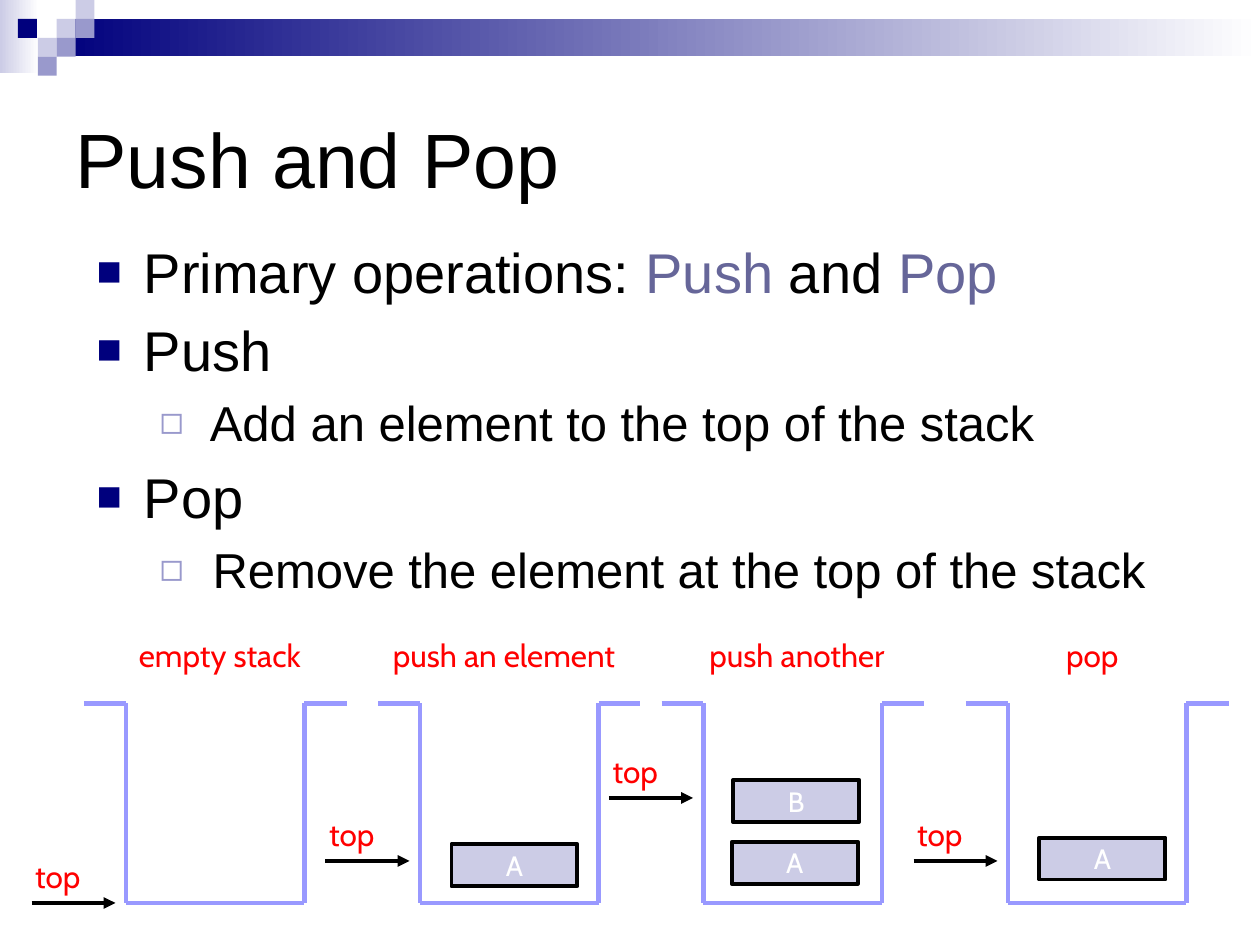
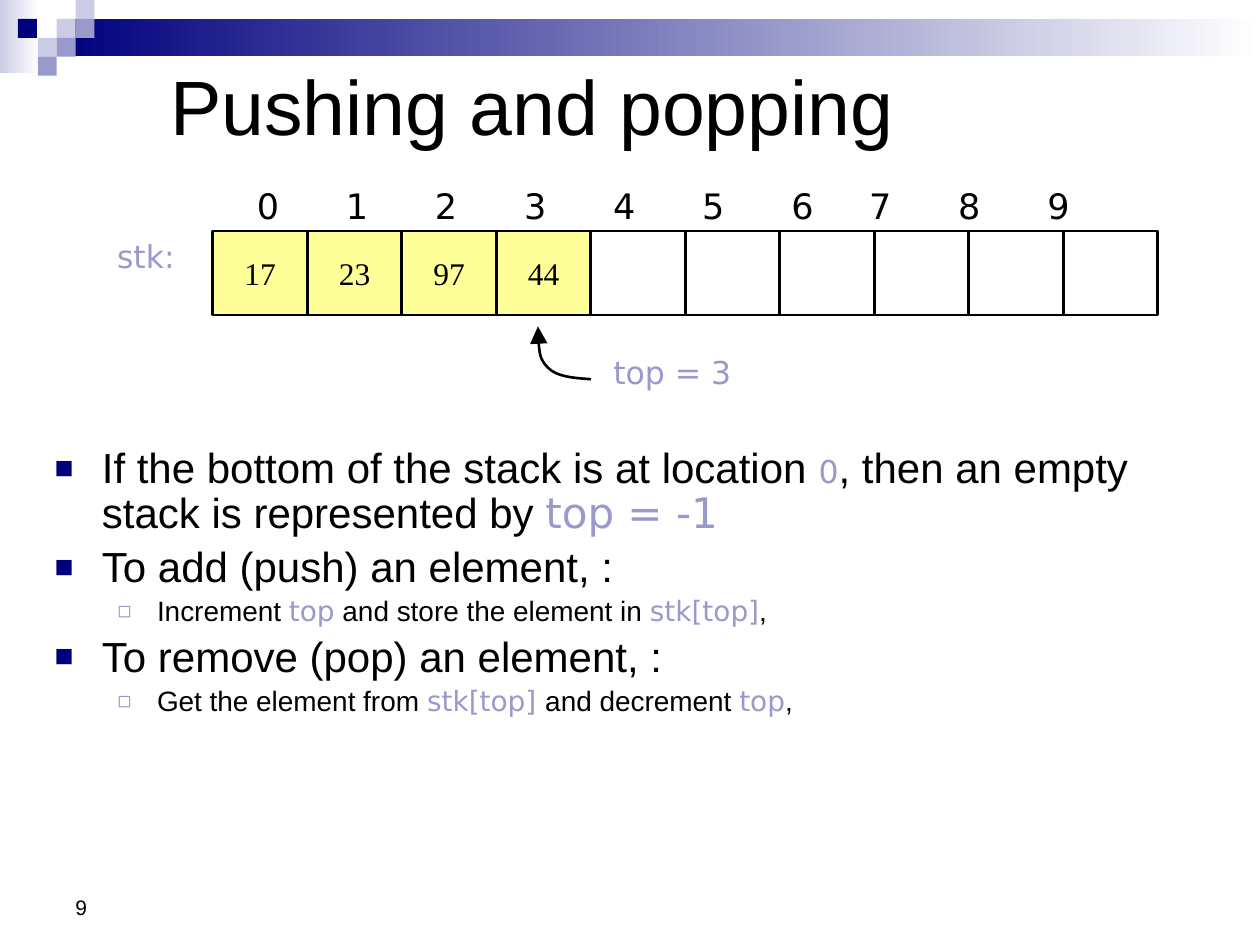
from itertools import pairwise

from lxml import etree
from pptx import Presentation
from pptx.dml.color import RGBColor
from pptx.enum.shapes import MSO_CONNECTOR, MSO_SHAPE
from pptx.enum.text import MSO_ANCHOR, MSO_AUTO_SIZE, PP_ALIGN
from pptx.oxml.ns import qn
from pptx.util import Pt

RECTANGLE, STRAIGHT = MSO_SHAPE.RECTANGLE, MSO_CONNECTOR.STRAIGHT
MIDDLE, BOTTOM = MSO_ANCHOR.MIDDLE, MSO_ANCHOR.BOTTOM
LEFT, CENTER = PP_ALIGN.LEFT, PP_ALIGN.CENTER
FIXED_SIZE = MSO_AUTO_SIZE.NONE

BLACK = RGBColor(0x00, 0x00, 0x00)
WHITE = RGBColor(0xFF, 0xFF, 0xFF)
NAVY = RGBColor(0x00, 0x00, 0x7D)
LAVENDER = RGBColor(0x99, 0x99, 0xCC)
PALE = RGBColor(0xCC, 0xCC, 0xE6)
SLATE = RGBColor(0x66, 0x66, 0x99)
PERIWINKLE = RGBColor(0x99, 0x99, 0xFF)
RED = RGBColor(0xFF, 0x00, 0x00)
YELLOW = RGBColor(0xFF, 0xFF, 0x99)

PLAIN = {}
KEYWORD = {"color": SLATE}
CODE = {"name": "DejaVu Sans", "color": LAVENDER}
CODE_LABEL = CODE | {"size": Pt(18)}
CAPTION = {"name": "Cabin", "size": Pt(18), "color": RED}
ELEMENT = {"name": "Cabin", "size": Pt(16), "color": WHITE}
VALUE = {"name": "Times New Roman", "size": Pt(18), "color": BLACK}
INDEX = {"name": "DejaVu Sans", "size": Pt(20), "color": BLACK}
NUMBER = {"name": "Arial", "size": Pt(12), "color": BLACK}


def write(paragraph, text, style):
    run = paragraph.add_run()
    run.text = text
    for attribute, value in style.items():
        if attribute == "color":
            run.font.color.rgb = value
        else:
            setattr(run.font, attribute, value)


def add_box(slide, frame, fill=None, outline=None, text="", style=PLAIN):
    box = slide.shapes.add_shape(RECTANGLE, *map(Pt, frame))
    box.shadow.inherit = False
    if fill is None:
        box.fill.background()
    else:
        box.fill.solid()
        box.fill.fore_color.rgb = fill
    if outline is None:
        box.line.fill.background()
    else:
        box.line.color.rgb = BLACK
        box.line.width = Pt(outline)
    if text:
        content = box.text_frame
        content.margin_top = content.margin_bottom = 0
        content.vertical_anchor = MIDDLE
        content.paragraphs[0].alignment = CENTER
        write(content.paragraphs[0], text, style)
    return box


prs = Presentation()
prs.slide_width, prs.slide_height = Pt(720), Pt(540)
master = prs.slide_master
push_pop = prs.slides.add_slide(prs.slide_layouts[1])
array_stack = prs.slides.add_slide(prs.slide_layouts[1])

# Master: title and list styles
for latin in master.element.find(qn("p:txStyles")).iter(qn("a:latin")):
    latin.set("typeface", "Arial")
master.element.find(".//" + qn("p:titleStyle")).find(qn("a:lvl1pPr")).set("algn", "l")
list_style = master.element.find(".//" + qn("p:bodyStyle"))
for level, char, color, percent in [(1, "■", NAVY, 75), (2, "◻", LAVENDER, 80)]:
    level_style = list_style.find(qn(f"a:lvl{level}pPr"))
    bullet_font = level_style.find(qn("a:buFont"))
    bullet_color = etree.Element(qn("a:buClr"))
    etree.SubElement(bullet_color, qn("a:srgbClr"), val=str(color))
    bullet_font.addprevious(bullet_color)
    bullet_font.addprevious(etree.Element(qn("a:buSzPct"), val=str(percent * 1000)))
    level_style.find(qn("a:buChar")).set("char", char)

# Master: gradient bands and a mosaic of small squares
TILE = 10.8
decoration = []
for frame, start_color in [
    ((0, 0, 22.3, 41.8), PALE),
    ((3 * TILE, TILE, 720 - 3 * TILE, 21.2), NAVY),
]:
    band = add_box(push_pop, frame)
    band.fill.gradient()
    band.fill.gradient_angle = 0
    for stop, color in zip(band.fill.gradient_stops, (start_color, WHITE)):
        stop.color.rgb = color
    decoration.append(band)
for column, row, color in [
    (3, 1, PALE), (4, 0, PALE), (4, 1, LAVENDER), (2, 2, PALE),
    (0.95, 1, NAVY), (3, 2, LAVENDER), (2, 3, LAVENDER),
]:
    decoration.append(add_box(push_pop, (column * TILE, row * TILE, TILE, TILE), color))
for number, part in enumerate(decoration):
    part.element.nvSpPr.cNvPr.set("id", str(20 + number))
    master.shapes.element.insert(2 + number, part.element)

# Titles and lists: (level, size, runs)
pages = [
    (push_pop, "Push and Pop", (36, 36, 648, 108), (48, 132, 618, 324), None, [
        (0, 32, [("Primary operations: ", PLAIN), ("Push", KEYWORD),
                 (" and ", PLAIN), ("Pop", KEYWORD)]),
        (0, 32, [("Push", PLAIN)]),
        (1, 28, [(" Add an element to the top of the stack", PLAIN)]),
        (0, 32, [("Pop", PLAIN)]),
        (1, 28, [(" Remove the element at the top of the stack", PLAIN)]),
    ]),
    (array_stack, "Pushing and popping", (90, 24, 588, 72), (24, 252, 678, 222), 0.9, [
        (0, 24, [("If the bottom of the stack is at location ", PLAIN),
                 ("0", CODE_LABEL),
                 (", then an empty stack is represented by ", PLAIN),
                 ("top = -1", CODE)]),
        (0, 24, [("To add (push) an element, :", PLAIN)]),
        (1, 16, [("Increment ", PLAIN), ("top", CODE),
                 (" and store the element in ", PLAIN), ("stk[top]", CODE), (",", PLAIN)]),
        (0, 24, [("To remove (pop) an element, :", PLAIN)]),
        (1, 16, [("Get the element from ", PLAIN), ("stk[top] ", CODE),
                 ("and decrement ", PLAIN), ("top", CODE), (",", PLAIN)]),
    ]),
]
for slide, heading, title_frame, list_frame, spacing, items in pages:
    title, points = slide.placeholders
    for holder, frame in [(title, title_frame), (points, list_frame)]:
        holder.left, holder.top, holder.width, holder.height = map(Pt, frame)
        holder.text_frame.auto_size = FIXED_SIZE
    title.text_frame.vertical_anchor = MIDDLE
    write(title.text_frame.paragraphs[0], heading, {"size": Pt(44), "color": BLACK})
    for position, (level, size, runs) in enumerate(items):
        content = points.text_frame
        paragraph = content.add_paragraph() if position else content.paragraphs[0]
        paragraph.level = level
        paragraph.line_spacing = spacing
        for text, style in runs:
            write(paragraph, text, {"size": Pt(size), "color": BLACK} | style)

# Slide 1: four stack states
LIP, WELL_WIDTH, RIM, FLOOR = 24, 102, 402, 516
text_boxes = []
arrows = []
states = [  # caption, caption centre, left wall, height of top, elements
    ("empty stack", 125.6, 72, 516, []),
    ("push an element", 288, 240, 492, [("A", 258, 482.4)]),
    ("push another", 455.4, 402, 456, [("A", 418.2, 481), ("B", 419, 445.7)]),
    ("pop", 624.2, 576, 492, [("A", 594, 478.6)]),
]
for caption, middle, wall, top, elements in states:
    right_wall = wall + WELL_WIDTH
    outline = [(wall - LIP, RIM), (wall, RIM), (wall, FLOOR),
               (right_wall, FLOOR), (right_wall, RIM), (right_wall + LIP, RIM)]
    strokes = [(start, end, PERIWINKLE, 2.5) for start, end in pairwise(outline)]
    strokes.append(((wall - 54, top), (wall - 6, top), BLACK, 2.25))
    for start, end, color, width in strokes:
        stroke = push_pop.shapes.add_connector(STRAIGHT, *map(Pt, start + end))
        stroke.line.color.rgb = color
        stroke.line.width = Pt(width)
        etree.SubElement(stroke.element.spPr, qn("a:effectLst"))
    arrows.append((stroke, "med"))
    for name, left, element_top in elements:
        add_box(push_pop, (left, element_top, 72, 24), PALE, 2.25, name, ELEMENT)
    text_boxes += [
        (push_pop, (middle - 75, 360, 150, 28.8), caption, CAPTION),
        (push_pop, (wall - 59, top - 30, 40, 28.8), "top", CAPTION),
    ]

# Slide 2: array cells and the arrow to the top element
CELL_LEFT, CELL_TOP, CELL_WIDTH = 121.6, 132, 54
values = ["17", "23", "97", "44"] + [""] * 6
for index, value in enumerate(values):
    frame = (CELL_LEFT + index * CELL_WIDTH, CELL_TOP, CELL_WIDTH, 48)
    add_box(array_stack, frame, YELLOW if value else None, 1.5, value, VALUE)

curve_points = [(327.6, 216), (318.2, 215.3), (313.2, 210.2),
                (308.2, 205.2), (307.4, 195.8), (307.4, 186.5)]
builder = array_stack.shapes.build_freeform(Pt(337.7), Pt(216.7), scale=1.0)
builder.add_line_segments([(Pt(x), Pt(y)) for x, y in curve_points], close=False)
pointer = builder.convert_to_shape()
pointer.shadow.inherit = False
pointer.fill.background()
pointer.line.color.rgb = BLACK
pointer.line.width = Pt(1.5)
arrows.append((pointer, "lg"))
segments = list(pointer.element.iter(qn("a:lnTo")))
route = segments[0].getparent()
for first in (0, 3):
    curve = etree.SubElement(route, qn("a:cubicBezTo"))
    for segment in segments[first:first + 3]:
        curve.append(segment[0])
        route.remove(segment)

# Arrowheads
for arrow, head_size in arrows:
    etree.SubElement(arrow.element.spPr.find(qn("a:ln")), qn("a:tailEnd"),
                     type="triangle", w=head_size, len=head_size)

# Text boxes on both slides
text_boxes += [
    (array_stack, (343.4, 198, 132, 36), "top = 3", CODE_LABEL),
    (array_stack, (59.8, 132, 62, 36), "stk:", CODE_LABEL),
    (array_stack, (36, 491.6, 168, 37.4), "9", NUMBER),
    (array_stack, (139.7, 101.8, 552, 31), "\t".join(map(str, range(10))), INDEX),
]
for slide, frame, text, style in text_boxes:
    label = slide.shapes.add_textbox(*map(Pt, frame))
    content = label.text_frame
    content.word_wrap = True
    paragraph = content.paragraphs[0]
    paragraph.alignment = LEFT
    write(paragraph, text, style)
    if style is CAPTION:
        content.margin_left = content.margin_right = 0
        paragraph.alignment = CENTER
    elif style is NUMBER:
        content.vertical_anchor = BOTTOM
    elif style is INDEX:
        tabs = etree.SubElement(label.element.find(".//" + qn("a:pPr")), qn("a:tabLst"))
        for index in range(1, 10):
            stop = 50.9 * index - (6.4 if index >= 7 else 0)
            etree.SubElement(tabs, qn("a:tab"), pos=str(Pt(stop)), algn="l")

prs.save("out.pptx")
